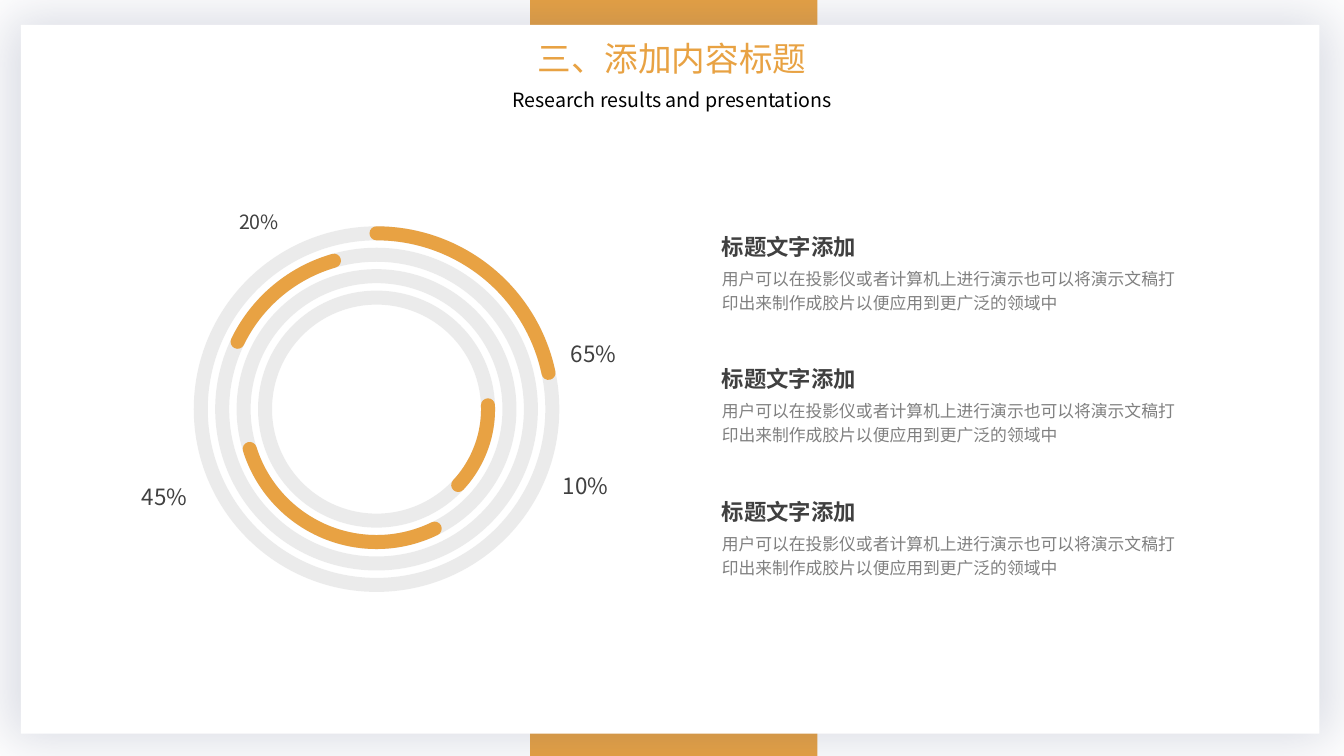
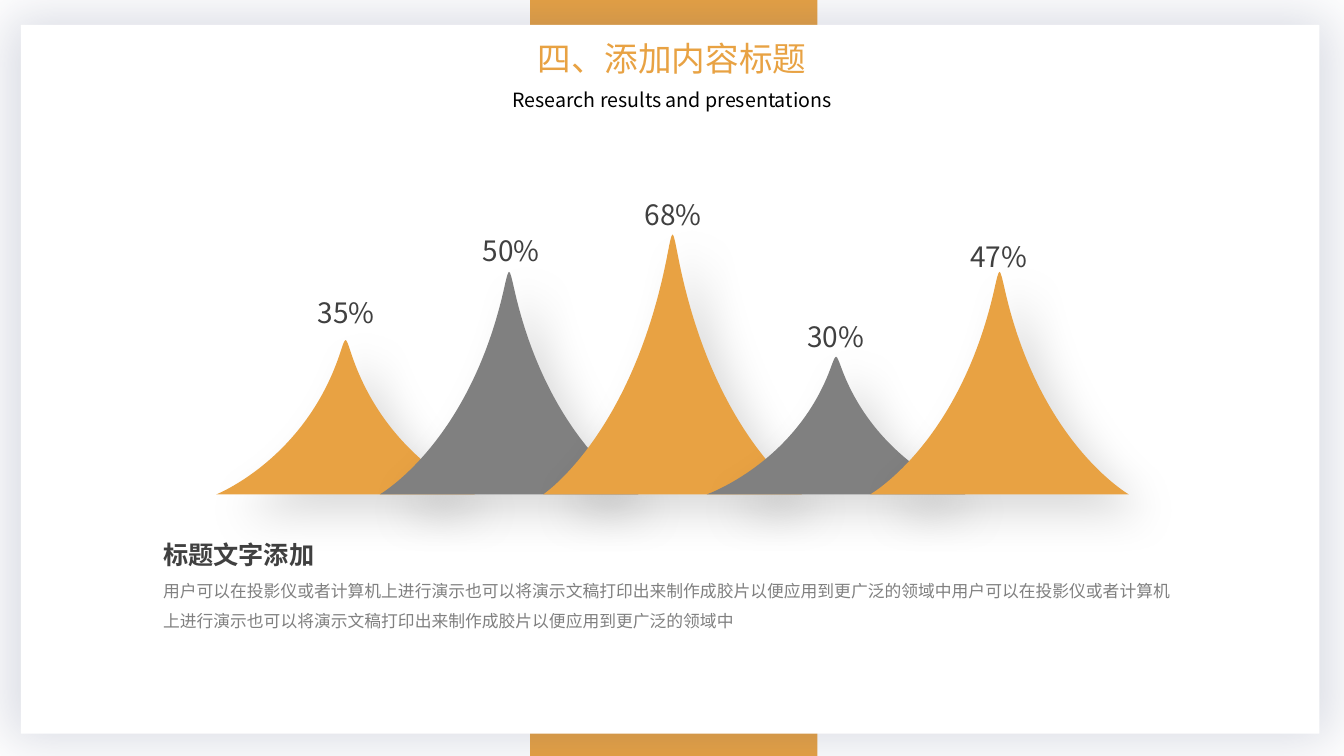
from lxml.etree import SubElement
from pptx import Presentation
from pptx.dml.color import RGBColor
from pptx.enum.shapes import MSO_SHAPE
from pptx.enum.text import MSO_AUTO_SIZE, PP_ALIGN
from pptx.oxml.ns import qn
from pptx.util import Cm, Pt

FONT = "Noto Sans CJK SC"
ORANGE, GRAY, DARK = "E8A243", "808080", "404040"
WHITE, BLACK, TRACK, CARD_SHADOW = "FFFFFF", "000000", "D9D9D9", "434E77"

TITLE = {"size": Pt(24)}
SUBTITLE = {"size": Pt(14)}
HEADING = {"size": Pt(16), "bold": True}
WIDE_HEADING = {"size": Pt(18), "bold": True}
BODY = {"size": Pt(12)}
PEAK_LABEL = {"size": Pt(20)}

HEADING_TEXT = "标题文字添加"
BODY_TEXT = "用户可以在投影仪或者计算机上进行演示也可以将演示文稿打印出来制作成胶片以便应用到更广泛的领域中"

RING_CENTER = (9.49, 10.31)
RING_SIZE, RING_STEP = 8.86, 1.08
RING_ARCS = [(270, 348.1), (205.84, 254), (64.04, 162.55), (358.05, 42.89)]
# text, centre, top, size
RING_LABELS = [("65%", 14.96, 8.44, 16), ("10%", 14.76, 11.77, 16),
               ("45%", 4.15, 12.04, 16), ("20%", 6.53, 5.16, 14)]

PEAK_LEFT, PEAK_STEP, PEAK_BASE, PEAK_HALF = 8.71, 4.12, 12.46, 3.26
# text, height, label centre, label top, colour
PEAKS = [("35%", 3.89, 8.72, 7.16, ORANGE), ("50%", 5.61, 12.88, 5.59, GRAY),
         ("68%", 6.55, 16.97, 4.68, ORANGE), ("30%", 3.47, 21.06, 7.75, GRAY),
         ("47%", 5.61, 25.17, 5.74, ORANGE)]
# Outline points: cm from the axis, share of the height
TIP, SHOULDER, FOOT = (0, 0), (0.12, 0.07), (PEAK_HALF, 1)
TIP_CONTROLS = [(0.03, 0), (0.07, 0.03)]
SLOPE_CONTROLS = [(0.99, 0.77), FOOT]


def color(value):
    return RGBColor.from_string(value)


def add_text(page, text, area, font, ink, align=PP_ALIGN.LEFT, spacing=None, wrap=True):
    box = page.shapes.add_textbox(*map(Cm, area))
    frame = box.text_frame
    frame.word_wrap = wrap
    frame.auto_size = MSO_AUTO_SIZE.SHAPE_TO_FIT_TEXT if wrap else MSO_AUTO_SIZE.NONE
    para = frame.paragraphs[0]
    para.alignment = align
    para.line_spacing = spacing
    span = para.add_run()
    span.text = text
    for name, value in {"name": FONT, **font}.items():
        setattr(span.font, name, value)
    span.font.color.rgb = color(ink)
    SubElement(span.font._element, qn("a:ea"), typeface=FONT)


def paint(shape, fill):
    """Give a shape a plain fill with neither line nor shadow."""
    shape.shadow.inherit = False
    shape.fill.solid()
    shape.fill.fore_color.rgb = color(fill)
    shape.line.fill.background()


def set_alpha(color_element, percent):
    SubElement(color_element, qn("a:alpha"), val=str(percent * 1000))


def add_shadow(shape, ink, alpha, blur, distance=0, angle=0, scale=100):
    effects = shape.element.spPr.find(qn("a:effectLst"))
    shadow = SubElement(effects, qn("a:outerShdw"), blurRad=str(Pt(blur)),
                        dist=str(Pt(distance)), dir=str(angle * 60000),
                        sx=str(scale * 1000), sy=str(scale * 1000),
                        algn="ctr", rotWithShape="0")
    set_alpha(SubElement(shadow, qn("a:srgbClr"), val=ink), alpha)


def add_panel(page, area, fill):
    panel = page.shapes.add_shape(MSO_SHAPE.RECTANGLE, *map(Cm, area))
    paint(panel, fill)
    return panel


def add_shared_frame(page, layout):
    """Draw the band and the card, then move them to the layout."""
    band = add_panel(page, (13.36, 0, 7.24, 19.05), ORANGE)
    card = add_panel(page, (0.53, 0.63, 32.72, 17.86), WHITE)
    add_shadow(card, CARD_SHADOW, 20, 40, scale=102)
    for panel in (band, card):
        layout.shapes.element.append(panel.element)


def add_title(page, title):
    add_text(page, title, (10.05, 0.84, 13.77, 1.27), TITLE, ORANGE, PP_ALIGN.CENTER)
    add_text(page, "Research results and presentations", (8.14, 2.08, 17.6, 0.86),
             SUBTITLE, BLACK, PP_ALIGN.CENTER)


def add_ring(page, kind, size, ink):
    left, top = (center - size / 2 for center in RING_CENTER)
    ring = page.shapes.add_shape(kind, Cm(left), Cm(top), Cm(size), Cm(size))
    ring.shadow.inherit = False
    ring.fill.background()
    ring.line.color.rgb = color(ink)
    ring.line.width = Pt(10)
    return ring


def add_ring_chart(page):
    group = page.shapes.add_group_shape()
    sizes = [RING_SIZE - RING_STEP * index for index in range(len(RING_ARCS))]
    for size in sizes:
        track = add_ring(group, MSO_SHAPE.OVAL, size, TRACK)
        set_alpha(track.element.spPr.xpath("./a:ln//a:srgbClr")[0], 50)
    for size, angles in zip(sizes, RING_ARCS):
        arc = add_ring(group, MSO_SHAPE.ARC, size, ORANGE)
        arc.element.spPr.find(qn("a:ln")).set("cap", "rnd")
        for index, angle in enumerate(angles):
            arc.adjustments[index] = angle * 0.6
    for text, center, top, size in RING_LABELS:
        add_text(group, text, (center - 0.68, top, 1.36, 0.81), {"size": Pt(size)},
                 DARK, PP_ALIGN.CENTER, wrap=False)


def mirror(points):
    """Reflect points at the axis and reverse their order."""
    return [(-across, down) for across, down in reversed(points)]


def bend(line, controls, height):
    """Turn a straight segment into a Bezier curve."""
    line.tag = qn("a:cubicBezTo")
    for index, (across, down) in enumerate(controls):
        point = SubElement(line, qn("a:pt"), x=str(Cm(PEAK_HALF + across)),
                           y=str(Cm(height * down)))
        line.insert(index, point)


def add_peak(page, center, height, fill):
    outline = [TIP, SHOULDER, FOOT, *mirror([TIP, SHOULDER, FOOT])]
    controls = [TIP_CONTROLS, SLOPE_CONTROLS, None,
                mirror(SLOPE_CONTROLS), mirror(TIP_CONTROLS)]
    points = [(Cm(center + across), Cm(PEAK_BASE - height * (1 - down)))
              for across, down in outline]
    builder = page.shapes.build_freeform(*points[0])
    builder.add_line_segments(points[1:], close=True)
    peak = builder.convert_to_shape()
    for line, pair in zip(peak.element.spPr.xpath(".//a:lnTo"), controls):
        if pair:
            bend(line, pair, height)
    paint(peak, fill)
    add_shadow(peak, BLACK, 14, 32, 19, 45)


def add_peak_chart(page):
    group = page.shapes.add_group_shape()
    for index, (_, height, _, _, fill) in enumerate(PEAKS):
        add_peak(group, PEAK_LEFT + PEAK_STEP * index, height, fill)
    for text, _, center, top, _ in PEAKS:
        add_text(group, text, (center - 1.3, top, 2.6, 1.22), PEAK_LABEL, DARK,
                 PP_ALIGN.CENTER, 1.2)


def build_ring_page(page):
    add_title(page, "三、添加内容标题")
    add_ring_chart(page)
    for index in range(3):
        top = 5.61 + 3.34 * index
        group = page.shapes.add_group_shape()
        add_text(group, BODY_TEXT, (17.94, top + 0.93, 12.19, 1.5), BODY, GRAY, spacing=1.2)
        add_text(group, HEADING_TEXT, (17.94, top, 6.4, 1.02), HEADING, DARK, spacing=1.2)


def build_peak_page(page):
    add_title(page, "四、添加内容标题")
    group = page.shapes.add_group_shape()
    add_text(group, BODY_TEXT * 2, (3.86, 14.26, 25.93, 1.73), BODY, GRAY, spacing=1.5)
    add_text(group, HEADING_TEXT, (3.86, 13.31, 6.22, 1.12), WIDE_HEADING, DARK, spacing=1.2)
    add_peak_chart(page)


def main():
    deck = Presentation()
    deck.slide_width, deck.slide_height = Cm(33.87), Cm(19.05)
    blank = deck.slide_layouts[6]
    ring_page, peak_page = (deck.slides.add_slide(blank) for _ in range(2))
    add_shared_frame(ring_page, blank)
    build_ring_page(ring_page)
    build_peak_page(peak_page)
    deck.save("out.pptx")


if __name__ == "__main__":
    main()
